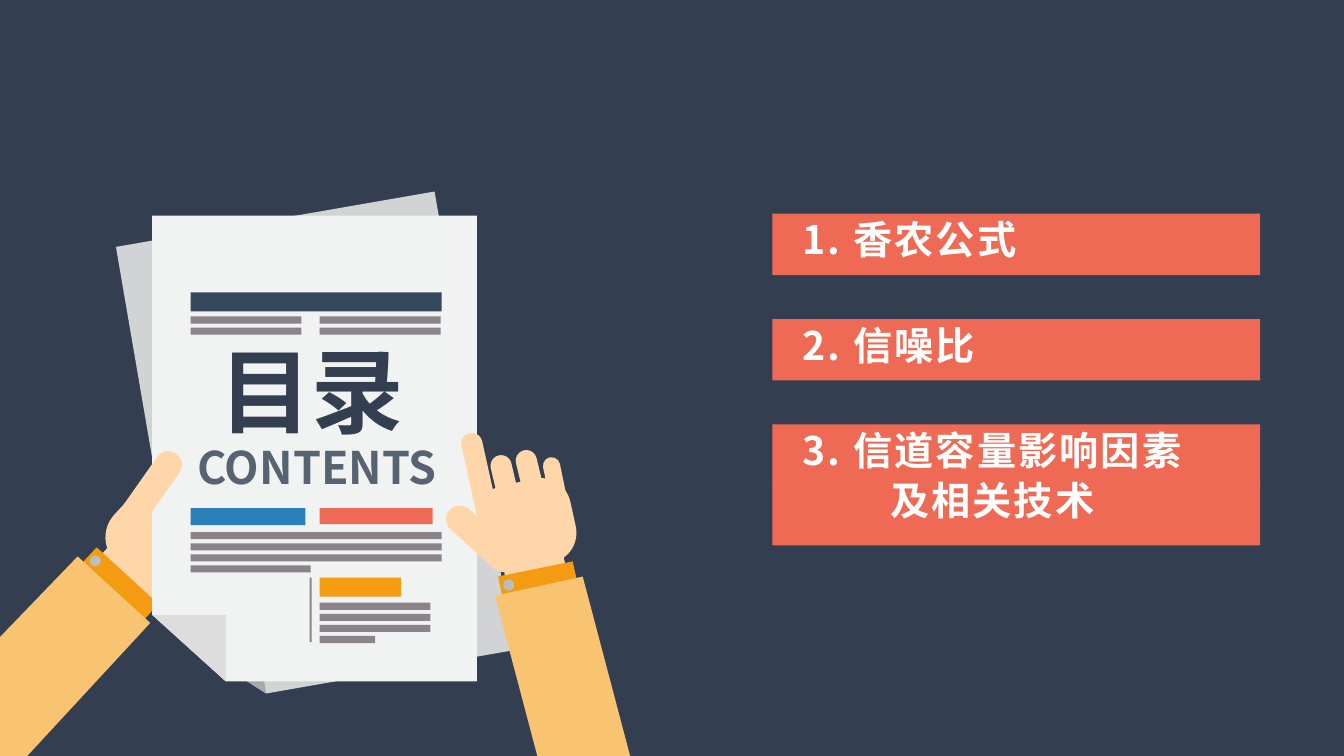
from collections import namedtuple
from math import atan2, degrees, hypot

from lxml.etree import SubElement
from pptx import Presentation
from pptx.dml.color import RGBColor
from pptx.enum.shapes import MSO_SHAPE
from pptx.enum.text import MSO_ANCHOR, MSO_AUTO_SIZE, PP_ALIGN
from pptx.oxml.ns import qn
from pptx.util import Inches, Pt

Box = namedtuple("Box", "left top width height")

FONT = "Noto Sans CJK SC"
NAVY, HEADER, SLATE, WHITE = "333F50", "36485D", "586371", "FFFFFF"
CORAL, BLUE, ORANGE = "EF6A54", "2980B9", "F39C12"
SKIN, SLEEVE, BUTTON = "FFD6A9", "F8C471", "BBBDBF"
PAPER, FOLD, BACK_SHEET, BACK_FOLD, PRINT = "F1F2F2", "DDDDDD", "D1D3D4", "A7A9AC", "8A8488"

SLIDE = Box(0, 0, 13.33, 7.5)
PAGE = Box(1.51, 2.14, 3.22, 4.62)
LEFT_HAND = Box(0, 4.46, 2.2, 3.04)
RIGHT_HAND = Box(4.41, 4.26, 1.84, 3.24)
AGENDA = Box(7.66, 2.12, 4.84, 3.29)


def paint(shape, color):
    shape.shadow.inherit = False
    shape.fill.solid()
    shape.fill.fore_color.rgb = RGBColor.from_string(color)
    shape.line.fill.background()
    return shape


def block(slide, box, x, y, width, height, color, preset=MSO_SHAPE.RECTANGLE):
    return paint(slide.shapes.add_shape(
        preset, Inches(box.left + x), Inches(box.top + y), Inches(width), Inches(height)), color)


def polygon(slide, box, corners, color):
    start, *rest = [(Inches(x), Inches(y)) for x, y in corners]
    outline = slide.shapes.build_freeform(*start)
    outline.add_line_segments(rest, close=True)
    paint(outline.convert_to_shape(Inches(box.left), Inches(box.top)), color)


def palm(slide, box, center, width, height, angle, radius):
    """Rounded skin-coloured block, turned about its center."""
    x, y = center
    skin = block(slide, box, x - width / 2, y - height / 2, width, height, SKIN,
                 MSO_SHAPE.ROUNDED_RECTANGLE)
    skin.adjustments[0] = radius / min(width, height)
    skin.rotation = angle


def finger(slide, box, base, tip, thickness):
    """Capsule whose round ends are centered on base and tip."""
    dx, dy = tip[0] - base[0], tip[1] - base[1]
    middle = (base[0] + dx / 2, base[1] + dy / 2)
    palm(slide, box, middle, hypot(dx, dy) + thickness, thickness,
         degrees(atan2(dy, dx)), thickness / 2)


def arm(slide, box, cuff, button, sleeve):
    polygon(slide, box, cuff, ORANGE)
    block(slide, box, *button, 0.11, 0.11, BUTTON, MSO_SHAPE.OVAL)
    polygon(slide, box, sleeve, SLEEVE)


def write(frame, text, size, color, align, spacing=0):
    frame.auto_size = MSO_AUTO_SIZE.SHAPE_TO_FIT_TEXT
    frame.vertical_anchor = MSO_ANCHOR.TOP
    paragraph = frame.paragraphs[0]
    paragraph.alignment = align
    run = paragraph.add_run()
    run.text = text
    run.font.size, run.font.bold, run.font.name = Pt(size), True, FONT
    run.font.color.rgb = RGBColor.from_string(color)
    properties = run.font._element
    SubElement(properties, qn("a:ea")).set("typeface", FONT)
    if spacing:
        properties.set("spc", str(int(spacing * 100)))
    return paragraph


def text_box(slide, box, x, y, width, height):
    return slide.shapes.add_textbox(
        Inches(box.left + x), Inches(box.top + y), Inches(width), Inches(height)).text_frame


def left_hand(slide, box):
    polygon(slide, box, [(1.45, 1.54), (0.96, 1.09), (1.09, 0.95), (1.58, 1.39)], SKIN)
    palm(slide, box, (1.6, 0.9), 1.03, 0.92, 42.5, 0.33)
    arm(slide, box,
        cuff=[(1.43, 1.69), (0.81, 1.13), (0.96, 0.97), (1.57, 1.53)],
        button=(0.89, 1.05),
        sleeve=[(1.49, 1.72), (0.27, box.height), (0, box.height), (0, 1.86), (0.77, 1.06)])


def right_hand(slide, box):
    polygon(slide, box, [(1.21, 1.4), (0.61, 1.52), (0.58, 1.35), (1.17, 1.22)], SKIN)
    palm(slide, box, (0.82, 0.94), 0.93, 0.85, -12.3, 0.3)
    for base, tip, thickness in [
        ((0.43, 0.86), (0.27, 0.14), 0.21),
        ((0.58, 1.28), (0.15, 0.89), 0.27),
        ((0.65, 0.74), (0.56, 0.36), 0.21),
        ((0.9, 0.68), (0.81, 0.31), 0.21),
        ((1.12, 0.65), (1.06, 0.36), 0.17),
    ]:
        finger(slide, box, base, tip, thickness)
    arm(slide, box,
        cuff=[(1.31, 1.49), (0.57, 1.65), (0.53, 1.46), (1.27, 1.31)],
        button=(0.58, 1.49),
        sleeve=[(box.width, box.height), (0.92, box.height), (0.5, 1.65), (1.37, 1.46)])


def back_sheet(slide, box):
    polygon(slide, box, [(1.13, 4.74), (3.59, 4.31), (2.8, -0.24), (-0.36, 0.31), (0.31, 4.21)],
            BACK_SHEET)
    polygon(slide, box, [(0.31, 4.21), (1.02, 4.09), (1.13, 4.74)], BACK_FOLD)


def front_page(slide, box):
    fold_x, fold_y = 0.73, 3.96
    polygon(slide, box, [(fold_x, box.height), (box.width, box.height), (box.width, 0),
                         (0, 0), (0, fold_y)], PAPER)
    polygon(slide, box, [(0, fold_y), (fold_x, fold_y), (fold_x, box.height)], FOLD)

    first, second, full = 0.38, 1.66, 2.49
    for x, y, width, height, color in [
        (first, 0.76, full, 0.19, HEADER),
        (first, 2.9, 1.14, 0.17, BLUE),
        (second, 2.9, 1.12, 0.16, CORAL),
        (second, 3.59, 0.81, 0.19, ORANGE),
        (1.56, 3.59, 0.02, 0.64, PRINT),
    ]:
        block(slide, box, x, y, width, height, color)
    for x, y, widths in [
        (first, 1, [1.1] * 2),
        (second, 1, [1.2] * 2),
        (first, 3.14, [full] * 3 + [1.19]),
        (second, 3.84, [1.1] * 3 + [0.55]),
    ]:
        for row, width in enumerate(widths):
            block(slide, box, x, y + 0.11 * row, width, 0.07, PRINT)


def headline(slide, box):
    title = slide.shapes.title
    title.left, title.top = Inches(box.left + 0.44), Inches(box.top + 1.12)
    title.width, title.height = Inches(2.28), Inches(1.21)
    write(title.text_frame, "目录", 66, NAVY, PP_ALIGN.CENTER)
    title.element.getparent().append(title.element)
    subtitle = text_box(slide, box, 0.29, 2.17, 2.69, 0.64)
    subtitle.word_wrap = False
    write(subtitle, "CONTENTS", 32, SLATE, PP_ALIGN.CENTER)


def agenda(slide, box):
    pitch, bar_height = 1.045, 0.61
    for text, y, text_drop, indent in [
        ("1. 香农公式", 0, 0.23, 0),
        ("2. 信噪比", pitch, 0.23, 0),
        ("3. 信道容量影响因素", 2 * pitch, 0.23, 0),
        ("及相关技术", box.height - bar_height, 0.13, 0.87),
    ]:
        block(slide, box, 0, y, box.width, bar_height, CORAL)
        frame = text_box(slide, box, 0.22, y + text_drop, 4.33, 0.31)
        frame.word_wrap = True
        frame.margin_left = Inches(0.08)
        paragraph = write(frame, text, 28, WHITE, PP_ALIGN.JUSTIFY, spacing=1.5)
        paragraph.line_spacing = Pt(15)
        if indent:
            paragraph._p.get_or_add_pPr().set("marL", str(Inches(indent)))


def main():
    deck = Presentation()
    deck.slide_width, deck.slide_height = Inches(SLIDE.width), Inches(SLIDE.height)
    slide = deck.slides.add_slide(deck.slide_layouts[5])
    slide.background.fill.solid()
    slide.background.fill.fore_color.rgb = RGBColor.from_string(NAVY)
    back_sheet(slide, PAGE)
    left_hand(slide, LEFT_HAND)
    front_page(slide, PAGE)
    finger(slide, LEFT_HAND, (1.34, 0.62), (1.67, 0.15), 0.27)
    right_hand(slide, RIGHT_HAND)
    agenda(slide, AGENDA)
    headline(slide, PAGE)
    deck.save("out.pptx")


if __name__ == "__main__":
    main()
